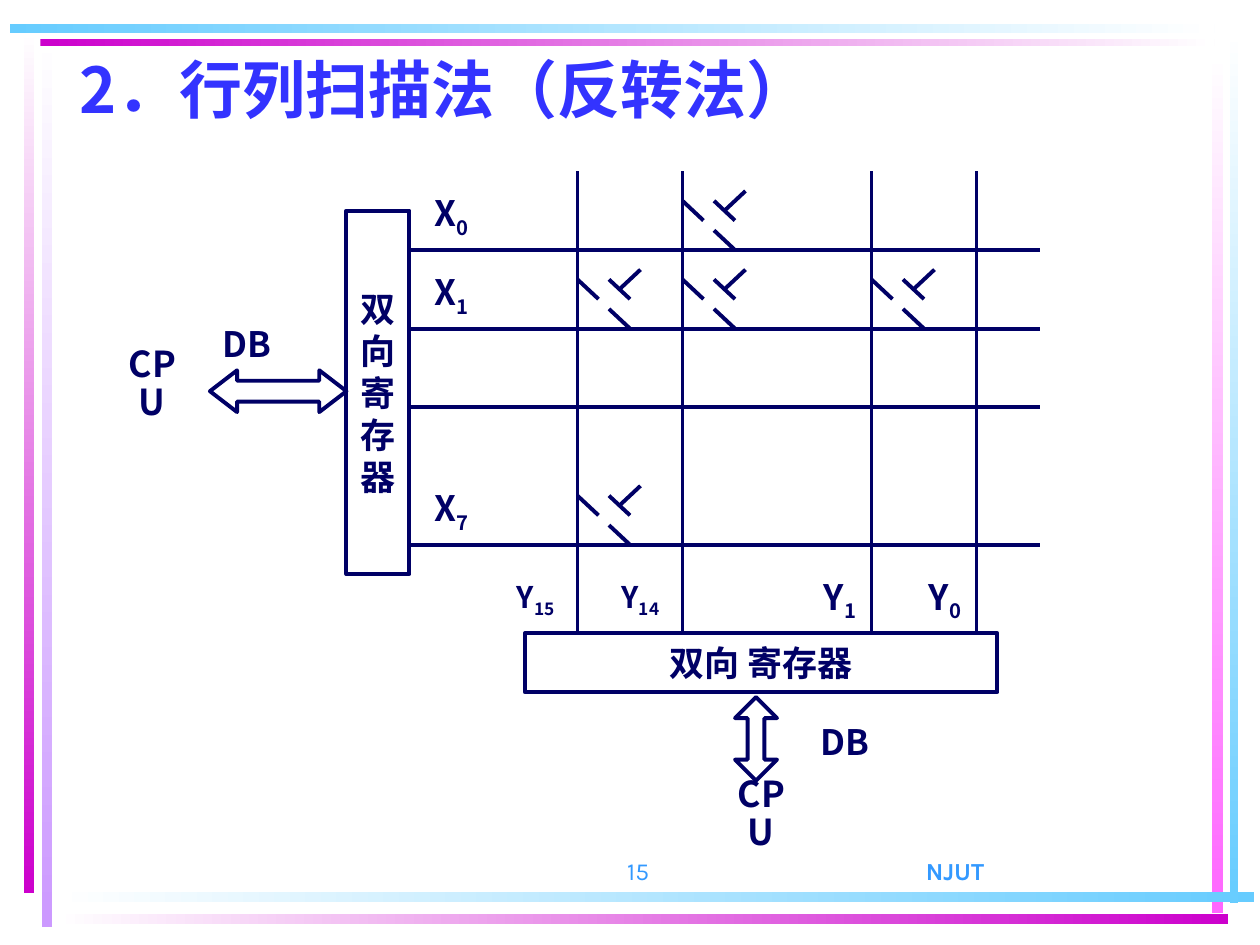
from lxml import etree
from pptx import Presentation
from pptx.dml.color import RGBColor
from pptx.enum.shapes import MSO_CONNECTOR, MSO_SHAPE
from pptx.enum.text import MSO_ANCHOR, PP_ALIGN
from pptx.oxml.ns import qn
from pptx.util import Inches, Pt

RECTANGLE = MSO_SHAPE.RECTANGLE
TWO_WAY_HORIZONTAL = MSO_SHAPE.LEFT_RIGHT_ARROW
TWO_WAY_VERTICAL = MSO_SHAPE.UP_DOWN_ARROW
STRAIGHT = MSO_CONNECTOR.STRAIGHT
TOP, MIDDLE, BOTTOM = MSO_ANCHOR.TOP, MSO_ANCHOR.MIDDLE, MSO_ANCHOR.BOTTOM
LEFT, CENTER, RIGHT = PP_ALIGN.LEFT, PP_ALIGN.CENTER, PP_ALIGN.RIGHT

NAVY = RGBColor(0x00, 0x00, 0x66)
TITLE_BLUE = RGBColor(0x33, 0x33, 0xFF)
FOOTER_BLUE = RGBColor(0x33, 0x99, 0xFF)
WHITE = RGBColor(0xFF, 0xFF, 0xFF)
SKY = RGBColor(0x66, 0xCC, 0xFF)
MAGENTA = RGBColor(0xCC, 0x00, 0xCC)
PINK = RGBColor(0xFF, 0x66, 0xFF)
LILAC = RGBColor(0xCC, 0x99, 0xFF)

SANS, SERIF, FOOTER_FONT = "Noto Sans CJK SC", "Times New Roman", "Karla"
LINE_WIDTH = Pt(2.25)
COLUMN = 1 / 12
ROW = 0.078
GRID_TOP = 1.36
DOWN, ACROSS = 270, 0

SCAN_ROWS = (8, 16, 24, 38)
SCAN_COLUMNS = (55, 65, 83, 93)
KEYS = ((65, 8), (55, 16), (65, 16), (83, 16), (55, 38))
KEY_STROKES = ((0, -5, 2, -3), (3, -2, 5, 0), (3, -5, 5, -3), (4, -4, 6, -6))

FRAME_BARS = (
    (0.33, 0.28, 0.08, 7.08, WHITE, LILAC, DOWN),
    (0.19, 0.25, 0.08, 6.84, WHITE, MAGENTA, DOWN),
    (9.76, 0.24, 0.07, 6.93, WHITE, SKY, DOWN),
    (9.62, 0.42, 0.09, 6.83, WHITE, PINK, DOWN),
    (0.45, 7.08, 9.5, 0.08, WHITE, SKY, ACROSS),
    (0.45, 7.25, 9.3, 0.08, WHITE, MAGENTA, ACROSS),
    (0.32, 0.31, 9.32, 0.06, MAGENTA, WHITE, ACROSS),
    (0.08, 0.19, 9.56, 0.07, SKY, WHITE, ACROSS),
)
SUBSCRIPT_LABELS = (
    (49, 41, "Y", "15", 17),
    (59, 41, "Y", "14", 17),
    (78, 41, "Y", "1", 20),
    (88, 41, "Y", "0", 20),
    (41, 2, "X", "0", 20),
    (41, 10, "X", "1", 20),
    (41, 32, "X", "7", 20),
)
PLAIN_LABELS = (
    (11, 19.25, "CPU", 20.4, 0.9),
    (20, 15, "DB", 20, 1),
    (69, 63, "CPU", 20.4, 0.9),
    (77, 55.5, "DB", 20, 1),
)


def grid_x(column):
    """Return the horizontal place of a grid column."""
    return Inches(column * COLUMN)


def grid_y(row):
    """Return the vertical place of a grid row."""
    return Inches(GRID_TOP + row * ROW)


def grid_area(column, row, columns, rows):
    """Return left, top, width and height of a block of grid cells."""
    return grid_x(column), grid_y(row), grid_x(columns), Inches(rows * ROW)


def format_span(span, size, color=NAVY, font=SANS, bold=True):
    """Set the font of one run, for Latin and East Asian text alike."""
    span.font.name = font
    span.font.size = Pt(size)
    span.font.bold = bold
    span.font.color.rgb = color
    east_asian = etree.SubElement(span.font._element, qn("a:ea"))
    east_asian.set("typeface", SANS)


def lay_out(frame, anchor, align, inset_x=0, inset_y=0, spacing=1):
    """Set wrapping, margins, anchor and paragraph alignment."""
    frame.word_wrap = True
    frame.vertical_anchor = anchor
    frame.margin_left = frame.margin_right = Inches(inset_x)
    frame.margin_top = frame.margin_bottom = Inches(inset_y)
    para = frame.paragraphs[0]
    para.alignment = align
    para.line_spacing = spacing
    return para


def add_bar(page, left, top, width, height, start, end, angle):
    """Add one gradient bar of the page frame."""
    bar = page.shapes.add_shape(
        RECTANGLE, Inches(left), Inches(top), Inches(width), Inches(height))
    bar.shadow.inherit = False
    bar.line.fill.background()
    bar.fill.gradient()
    bar.fill.gradient_angle = angle
    for stop, color in zip(bar.fill.gradient_stops, (start, end)):
        stop.color.rgb = color


def add_outline(page, kind, area):
    """Add an unfilled navy shape on the grid."""
    shape = page.shapes.add_shape(kind, *area)
    shape.shadow.inherit = False
    shape.fill.background()
    shape.line.color.rgb = NAVY
    shape.line.width = LINE_WIDTH
    return shape


def add_register(page, area, text):
    """Add a register box with its name."""
    box = add_outline(page, RECTANGLE, area)
    box.text_frame.text = text
    para = lay_out(box.text_frame, MIDDLE, CENTER)
    format_span(para.runs[0], 20, font=SERIF)


def add_bus_arrow(page, kind, area, head):
    """Add a two-way data bus arrow."""
    arrow = add_outline(page, kind, area)
    arrow.adjustments[0] = 0.5
    arrow.adjustments[1] = head


def add_wire(page, column, row, end_column, end_row):
    """Add a straight wire between two grid points."""
    wire = page.shapes.add_connector(
        STRAIGHT, grid_x(column), grid_y(row), grid_x(end_column), grid_y(end_row))
    wire.line.color.rgb = NAVY
    wire.line.width = LINE_WIDTH
    etree.SubElement(wire._element.spPr, qn("a:effectLst"))


def add_key(page, column, row):
    """Add a push-button key at a crossing of the matrix."""
    for x, y, end_x, end_y in KEY_STROKES:
        add_wire(page, column + x, row + y, column + end_x, row + end_y)


def add_label(page, area, text, size, subscript="", spacing=1):
    """Add a centred label with an optional subscript."""
    box = page.shapes.add_textbox(*area)
    box.text_frame.text = text
    para = lay_out(box.text_frame, MIDDLE, CENTER, spacing=spacing)
    format_span(para.runs[0], size)
    if subscript:
        span = para.add_run()
        span.text = subscript
        format_span(span, size)
        span.font._element.set("baseline", "-25000")


def add_footer(page, left, width, text, align, bold):
    """Add one footer entry."""
    box = page.shapes.add_textbox(
        Inches(left), Inches(6.58), Inches(width), Inches(0.5))
    box.text_frame.text = text
    para = lay_out(box.text_frame, BOTTOM, align, 0.1, 0.05)
    format_span(para.runs[0], 14, FOOTER_BLUE, FOOTER_FONT, bold)


def set_title(page, text):
    """Place and format the title placeholder."""
    title = page.shapes.title
    title.left, title.top = Inches(0.42), Inches(0.42)
    title.width, title.height = Inches(8.75), Inches(0.92)
    title.text_frame.text = text
    para = lay_out(title.text_frame, TOP, LEFT, 0.21, 0.05, 0.9)
    format_span(para.runs[0], 36, TITLE_BLUE)


def main():
    """Build the slide and save it."""
    deck = Presentation()
    deck.slide_width, deck.slide_height = Inches(10), Inches(7.5)
    page = deck.slides.add_slide(deck.slide_layouts[5])
    for bar in FRAME_BARS:
        add_bar(page, *bar)
    add_footer(page, 5.83, 3.5, "NJUT", CENTER, True)
    add_footer(page, 3.17, 2.08, "15", RIGHT, False)
    set_title(page, "2．行列扫描法（反转法）")
    add_register(page, grid_area(33, 4, 6, 37), "双向寄存器")
    add_register(page, grid_area(50, 47, 45, 6), "双向 寄存器")
    for row in SCAN_ROWS:
        add_wire(page, 39, row, 99, row)
    for column in SCAN_COLUMNS:
        add_wire(page, column, 0, column, 47)
    for key in KEYS:
        add_key(page, *key)
    for column, row, text, subscript, size in SUBSCRIPT_LABELS:
        add_label(page, grid_area(column, row, 4, 5), text, size, subscript)
    for column, row, text, size, spacing in PLAIN_LABELS:
        add_label(page, grid_area(column, row, 7, 5), text, size, spacing=spacing)
    add_bus_arrow(page, TWO_WAY_HORIZONTAL, grid_area(20, 20.25, 13, 4.25), 0.65)
    add_bus_arrow(page, TWO_WAY_VERTICAL, grid_area(70, 53.5, 4, 8.5), 0.4)
    deck.save("out.pptx")


if __name__ == "__main__":
    main()
